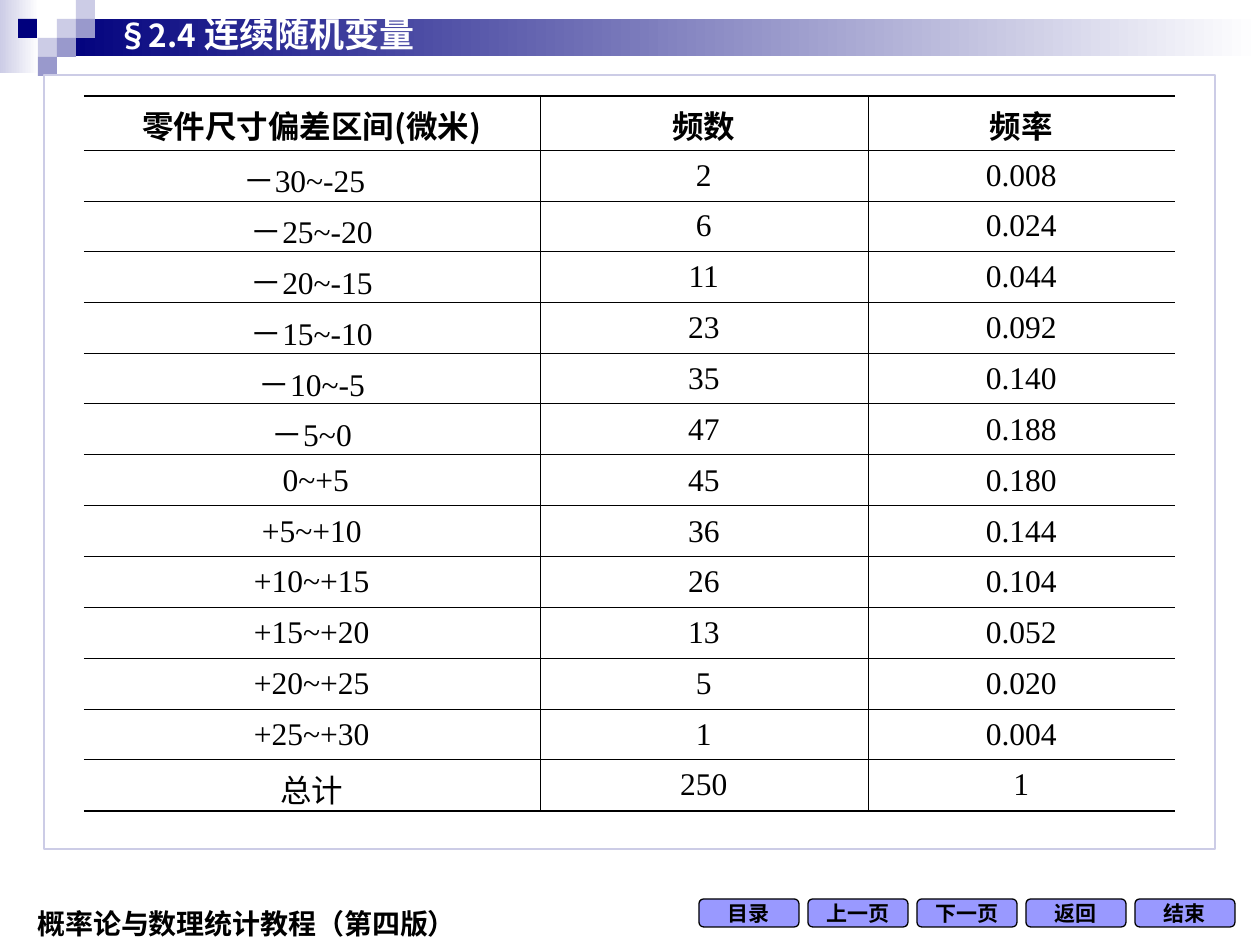
from dataclasses import dataclass
from typing import Any, NamedTuple

from lxml import etree
from pptx import Presentation
from pptx import util as u
from pptx.dml.color import RGBColor
from pptx.enum import shapes, text
from pptx.oxml import ns

EMU_PER_PX = 914400 / 126


@dataclass(frozen=True)
class Theme:
    white: str = "FFFFFF"
    black: str = "000000"
    navy: str = "00007D"
    violet: str = "9999CC"
    lilac: str = "CCCCE6"
    button: str = "9999FF"
    title_font: str = "Noto Sans CJK SC"
    button_font: str = "Arial"
    footer_font: str = "Roboto"
    body_font: str = "Times New Roman"
    section_size: int = 18
    title_size: int = 20
    table_size: int = 18
    footer_size: int = 16
    button_size: int = 12
    outline: float = 0.75
    thin: float = 0.45
    thick: float = 1.08


THEME = Theme()


class Area(NamedTuple):
    left: int
    top: int
    width: int
    height: int


class Span(NamedTuple):
    words: str
    font: str
    size: int
    color: str = THEME.black
    bold: bool = True


class Band(NamedTuple):
    area: Area
    color: str


class Tile(NamedTuple):
    left: int
    top: int
    color: str


class Bin(NamedTuple):
    interval: str
    count: str
    share: str
    right_inset: int = 13


BANDS = [
    Band(Area(0, 0, 39, 73), THEME.lilac),
    Band(Area(57, 19, 1203, 37), THEME.navy),
]
TILE_SIDE = 19
TILES = [
    Tile(57, 19, THEME.lilac),
    Tile(76, 0, THEME.lilac),
    Tile(76, 19, THEME.violet),
    Tile(38, 38, THEME.lilac),
    Tile(18, 19, THEME.navy),
    Tile(57, 38, THEME.violet),
    Tile(38, 57, THEME.violet),
]
BUTTONS = ["目录", "上一页", "下一页", "返回", "结束"]
FIRST_BUTTON = Area(699, 899, 100, 28)
BUTTON_PITCH = 109

HEADER = Bin("零件尺寸偏差区间(微米)", "频数", "频率")
BINS = [
    Bin("－30~-25", "2", "0.008", right_inset=28),
    Bin("－25~-20", "6", "0.024"),
    Bin("－20~-15", "11", "0.044"),
    Bin("－15~-10", "23", "0.092"),
    Bin("－10~-5", "35", "0.140"),
    Bin("－5~0", "47", "0.188"),
    Bin(" 0~+5", "45", "0.180"),
    Bin("+5~+10", "36", "0.144"),
    Bin("+10~+15", "26", "0.104"),
    Bin("+15~+20", "13", "0.052"),
    Bin("+20~+25", "5", "0.020"),
    Bin("+25~+30", "1", "0.004"),
    Bin("总计", "250", "1"),
]
COLUMN_WIDTHS = [456, 328, 307]
HEADER_HEIGHT = 54
BODY_HEIGHT = 659
TABLE_AREA = Area(84, 96, sum(COLUMN_WIDTHS), HEADER_HEIGHT + BODY_HEIGHT)


def px(length: int) -> u.Emu:
    return u.Emu(round(length * EMU_PER_PX))


def place(area: Area) -> list[u.Emu]:
    return [px(length) for length in area]


def apply(target: Any, values: dict[str, Any]) -> None:
    for name, value in values.items():
        setattr(target, name, value)


def write(frame: Any, spans: list[Span], align: Any = text.PP_ALIGN.LEFT) -> None:
    para = frame.paragraphs[0]
    para.alignment = align
    for item in spans:
        span = para.add_run()
        span.text = item.words
        apply(span.font, {"name": item.font, "size": u.Pt(item.size), "bold": item.bold})
        span.font.color.rgb = RGBColor.from_string(item.color)


def add_block(page: Any, area: Area, fill: str | None = None, line: str | None = None,
              kind: Any = shapes.MSO_SHAPE.RECTANGLE) -> Any:
    block = page.shapes.add_shape(kind, *place(area))
    block.shadow.inherit = False
    if fill:
        block.fill.solid()
        block.fill.fore_color.rgb = RGBColor.from_string(fill)
    else:
        block.fill.background()
    if line:
        block.line.color.rgb = RGBColor.from_string(line)
        block.line.width = u.Pt(THEME.outline)
    else:
        block.line.fill.background()
    return block


def add_band(page: Any, band: Band) -> None:
    block = add_block(page, band.area)
    block.fill.gradient()
    block.fill.gradient_angle = 180
    for stop, color in zip(block.fill.gradient_stops, (THEME.white, band.color)):
        stop.color.rgb = RGBColor.from_string(color)


def add_button(page: Any, index: int, label: str) -> None:
    area = FIRST_BUTTON._replace(left=FIRST_BUTTON.left + index * BUTTON_PITCH)
    button = add_block(page, area, THEME.button, THEME.black,
                       shapes.MSO_SHAPE.FLOWCHART_ALTERNATE_PROCESS)
    apply(button.text_frame, {"word_wrap": False, "vertical_anchor": text.MSO_ANCHOR.MIDDLE})
    write(button.text_frame, [Span(label, THEME.button_font, THEME.button_size)],
          text.PP_ALIGN.CENTER)


def add_label(page: Any, area: Area, spans: list[Span]) -> None:
    box = page.shapes.add_textbox(*place(area))
    box.text_frame.word_wrap = True
    write(box.text_frame, spans)


def set_border(cell: Any, side: str, width: float) -> None:
    edge = etree.SubElement(cell._tc.get_or_add_tcPr(), ns.qn(f"a:ln{side}"), w=str(u.Pt(width)))
    if width:
        fill = etree.SubElement(edge, ns.qn("a:solidFill"))
        etree.SubElement(fill, ns.qn("a:srgbClr"), val=THEME.black)
    else:
        etree.SubElement(edge, ns.qn("a:noFill"))


def add_frequency_table(page: Any) -> None:
    rows = [HEADER, *BINS]
    last_row, last_column = len(rows) - 1, len(COLUMN_WIDTHS) - 1
    table = page.shapes.add_table(len(rows), len(COLUMN_WIDTHS), *place(TABLE_AREA)).table
    apply(table, {"first_row": False, "horz_banding": False})
    for column, width in zip(table.columns, COLUMN_WIDTHS):
        column.width = px(width)
    edges = [round(i * BODY_HEIGHT / len(BINS)) for i in range(len(BINS) + 1)]
    heights = [HEADER_HEIGHT, *(low - high for high, low in zip(edges, edges[1:]))]
    for r, (row, height) in enumerate(zip(rows, heights)):
        table.rows[r].height = px(height)
        for c, words in enumerate((row.interval, row.count, row.share)):
            cell = table.cell(r, c)
            apply(cell, {"vertical_anchor": text.MSO_ANCHOR.MIDDLE,
                         "margin_right": px(row.right_inset if c == 0 else 13)})
            header_font = THEME.title_font if c == 0 else THEME.button_font
            font = THEME.body_font if r else header_font
            write(cell.text_frame, [Span(words, font, THEME.table_size, bold=r == 0)],
                  text.PP_ALIGN.CENTER)
            set_border(cell, "L", THEME.thin if c else 0)
            set_border(cell, "R", THEME.thin if c < last_column else 0)
            set_border(cell, "T", THEME.thin if r else THEME.thick)
            set_border(cell, "B", THEME.thin if r < last_row else THEME.thick)
            cell.fill.background()


def main() -> None:
    deck = Presentation()
    apply(deck, {"slide_width": px(1260), "slide_height": px(945)})
    page = deck.slides.add_slide(deck.slide_layouts[6])
    for band in BANDS:
        add_band(page, band)
    for tile in TILES:
        add_block(page, Area(tile.left, tile.top, TILE_SIDE, TILE_SIDE), tile.color)
    add_block(page, Area(44, 75, 1171, 774), line=THEME.lilac)
    for index, label in enumerate(BUTTONS):
        add_button(page, index, label)
    add_label(page, Area(25, 900, 512, 47),
              [Span("概率论与数理统计教程（第四版）", THEME.footer_font, THEME.footer_size)])
    add_label(page, Area(105, 6, 605, 59), [
        Span("§2.4", THEME.title_font, THEME.section_size, THEME.white),
        Span(" 连续随机变量", THEME.title_font, THEME.title_size, THEME.white),
    ])
    add_frequency_table(page)
    deck.save("out.pptx")


if __name__ == "__main__":
    main()
